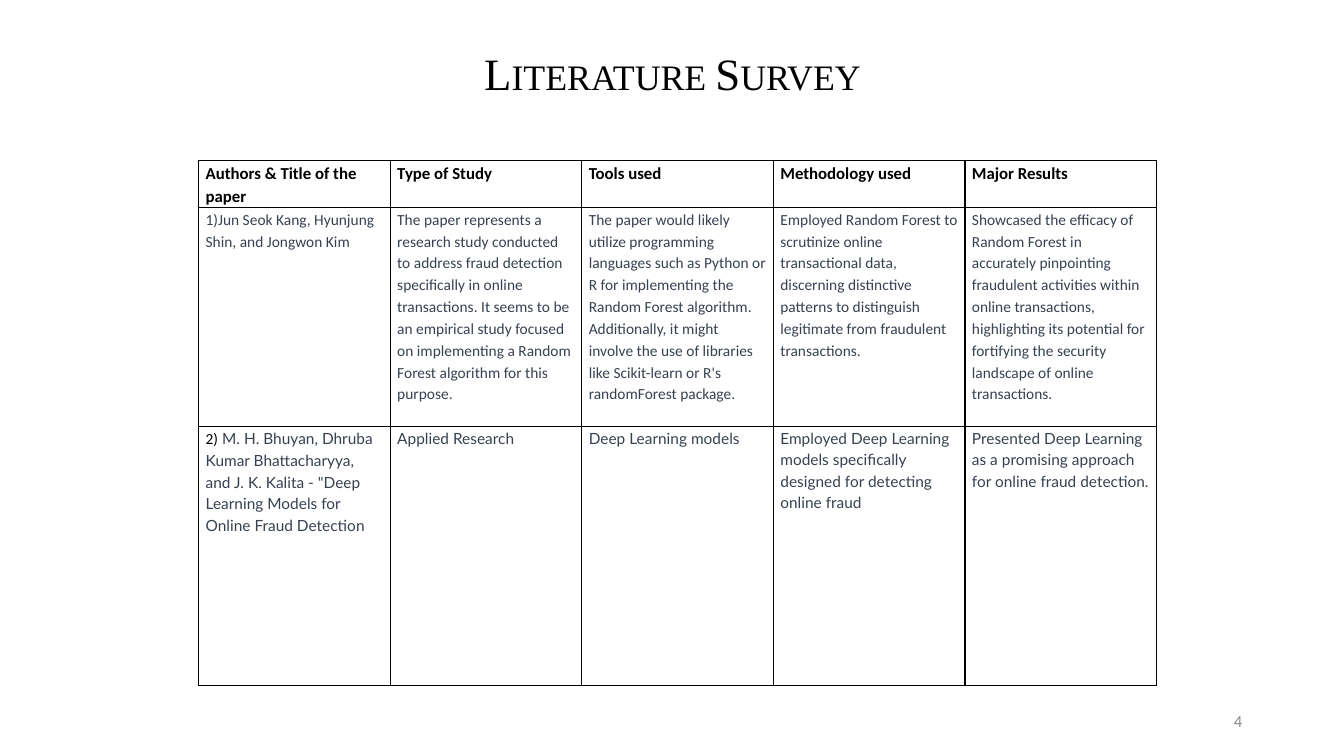
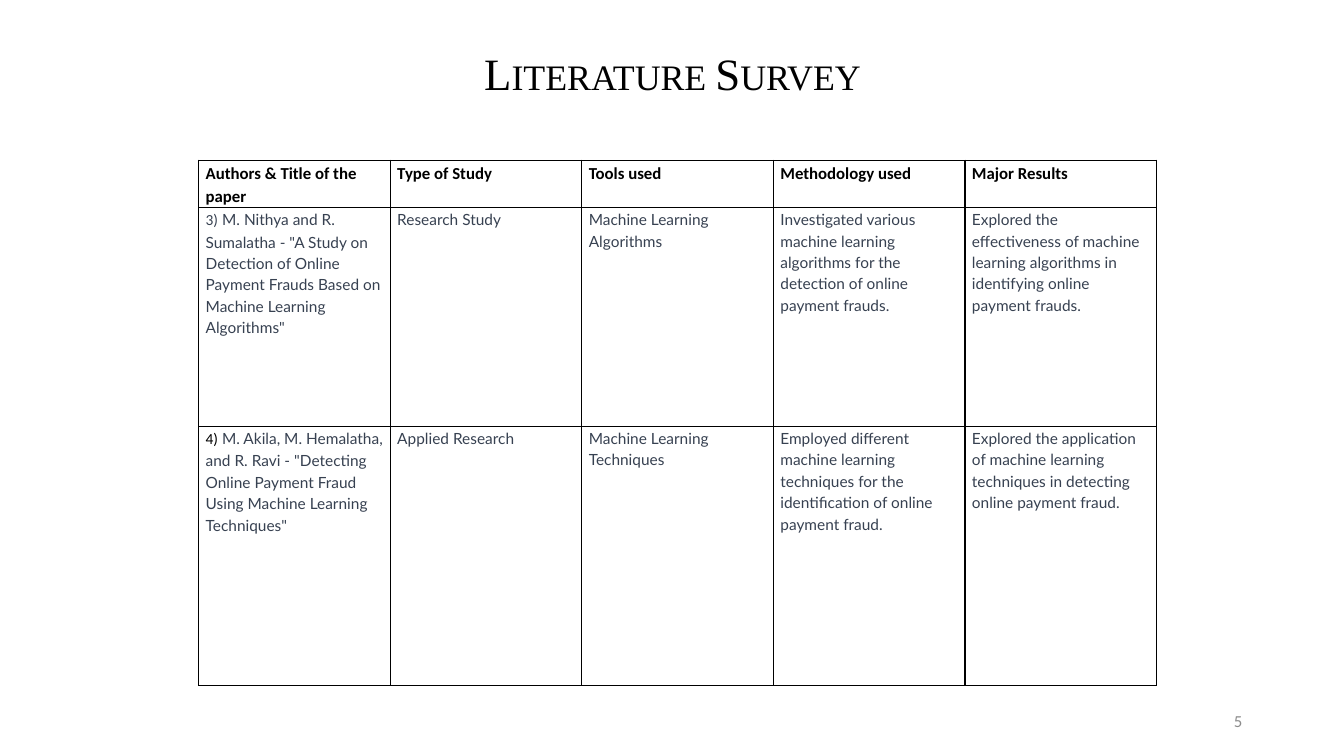
from dataclasses import dataclass

from lxml.etree import SubElement
from pptx import Presentation
from pptx.dml.color import RGBColor
from pptx.enum.text import MSO_ANCHOR, MSO_AUTO_SIZE, PP_ALIGN
from pptx.oxml.ns import qn
from pptx.util import Inches, Pt


@dataclass(frozen=True)
class Theme:
    black: RGBColor = RGBColor(0x00, 0x00, 0x00)
    slate: RGBColor = RGBColor(0x37, 0x41, 0x51)
    gray: RGBColor = RGBColor(0x8C, 0x8C, 0x8C)
    white: RGBColor = RGBColor(0xFF, 0xFF, 0xFF)
    title_size: Pt = Pt(32)
    header_size: Pt = Pt(12)
    body_size: Pt = Pt(11)
    border_width: Pt = Pt(1)
    line_spacing: float = 1.15


theme = Theme()

TITLE = {"name": "Times New Roman", "size": theme.title_size, "color": theme.black}
NUMBER = {"name": "Calibri", "size": theme.header_size, "color": theme.gray}
HEADER = {"name": "Calibri", "size": theme.header_size, "bold": True, "color": theme.black}
CALIBRI = {"name": "Calibri", "size": theme.body_size, "bold": False, "color": theme.slate}
MARKER = {**CALIBRI, "color": theme.black}
LATO = {**CALIBRI, "name": "Lato"}

TITLE_FRAME = {
    "auto_size": MSO_AUTO_SIZE.NONE,
    "vertical_anchor": MSO_ANCHOR.TOP,
    "margin_top": Inches(0.11),
    "margin_right": Inches(0.2),
}
NUMBER_FRAME = {"word_wrap": True, "vertical_anchor": MSO_ANCHOR.MIDDLE}
CELL_FORMAT = {
    "margin_left": Inches(0.07),
    "margin_right": Inches(0.07),
    "margin_top": 0,
    "margin_bottom": 0,
    "vertical_anchor": MSO_ANCHOR.TOP,
}

HEADINGS = [
    "Authors & Title of the paper",
    "Type of Study",
    "Tools used",
    "Methodology used",
    "Major Results",
]
ROW_HEIGHTS = [0.47, 2.17, 2.57]
COLUMN_WIDTH = 1.9

SURVEYS = {
    4: [
        ("1)", CALIBRI, CALIBRI, [
            "Jun Seok Kang, Hyunjung Shin, and Jongwon Kim",
            "The paper represents a research study conducted to address fraud detection "
            "specifically in online transactions. It seems to be an empirical study focused "
            "on implementing a Random Forest algorithm for this purpose.",
            "The paper would likely utilize programming languages such as Python or R for "
            "implementing the Random Forest algorithm. Additionally, it might involve the "
            "use of libraries like Scikit-learn or R's randomForest package.",
            "Employed Random Forest to scrutinize online transactional data, discerning "
            "distinctive patterns to distinguish legitimate from fraudulent transactions.",
            "Showcased the efficacy of Random Forest in accurately pinpointing fraudulent "
            "activities within online transactions, highlighting its potential for "
            "fortifying the security landscape of online transactions.",
        ]),
        ("2)", MARKER, LATO, [
            " M. H. Bhuyan, Dhruba Kumar Bhattacharyya, and J. K. Kalita - "
            '"Deep Learning Models for Online Fraud Detection',
            "Applied Research",
            "Deep Learning models",
            "Employed Deep Learning models specifically designed for detecting online fraud",
            "Presented Deep Learning as a promising approach for online fraud detection.",
        ]),
    ],
    5: [
        ("3)", CALIBRI, LATO, [
            ' M. Nithya and R. Sumalatha - "A Study on Detection of Online Payment '
            'Frauds Based on Machine Learning Algorithms"',
            "Research Study",
            "Machine Learning Algorithms",
            "Investigated various machine learning algorithms for the detection of online "
            "payment frauds.",
            "Explored the effectiveness of machine learning algorithms in identifying online "
            "payment frauds.",
        ]),
        ("4)", MARKER, LATO, [
            ' M. Akila, M. Hemalatha, and R. Ravi - "Detecting Online Payment Fraud '
            'Using Machine Learning Techniques"',
            "Applied Research",
            "Machine Learning Techniques",
            "Employed different machine learning techniques for the identification of online "
            "payment fraud.",
            "Explored the application of machine learning techniques in detecting online "
            "payment fraud.",
        ]),
    ],
}


def add_run(paragraph, text, style):
    run = paragraph.add_run()
    run.text = text
    for attribute, value in style.items():
        if attribute == "color":
            run.font.color.rgb = value
        else:
            setattr(run.font, attribute, value)
    return run


def format_cell(cell):
    for attribute, value in CELL_FORMAT.items():
        setattr(cell, attribute, value)
    properties = cell._tc.get_or_add_tcPr()
    for side in ("a:lnL", "a:lnR", "a:lnT", "a:lnB"):
        line = SubElement(properties, qn(side), w=str(theme.border_width))
        fill = SubElement(line, qn("a:solidFill"))
        SubElement(fill, qn("a:srgbClr"), val=str(theme.black))
    cell.fill.solid()
    cell.fill.fore_color.rgb = theme.white


presentation = Presentation()
presentation.slide_width = Inches(13.33)
presentation.slide_height = Inches(7.5)
title_only = presentation.slide_layouts[5]

for page, papers in SURVEYS.items():
    slide = presentation.slides.add_slide(title_only)

    title = slide.shapes.title
    title.left, title.top = Inches(2.22), Inches(0.34)
    title.width, title.height = Inches(9), Inches(1.25)
    for attribute, value in TITLE_FRAME.items():
        setattr(title.text_frame, attribute, value)
    paragraph = title.text_frame.paragraphs[0]
    paragraph.alignment = PP_ALIGN.CENTER
    run = add_run(paragraph, "Literature Survey", TITLE)
    run.font._element.set("cap", "small")

    table = slide.shapes.add_table(
        len(ROW_HEIGHTS), len(HEADINGS), Inches(1.97), Inches(1.59),
        Inches(COLUMN_WIDTH * len(HEADINGS)), Inches(sum(ROW_HEIGHTS)),
    ).table
    table.first_row = False
    table.horz_banding = False
    for column in table.columns:
        column.width = Inches(COLUMN_WIDTH)
    for row, height in zip(table.rows, ROW_HEIGHTS):
        row.height = Inches(height)

    table_rows = [("", HEADER, HEADER, HEADINGS), *papers]
    for row, (marker, marker_style, style, texts) in zip(table.rows, table_rows):
        for position, (cell, text) in enumerate(zip(row.cells, texts)):
            format_cell(cell)
            paragraph = cell.text_frame.paragraphs[0]
            paragraph.line_spacing = theme.line_spacing
            if marker and position == 0:
                add_run(paragraph, marker, marker_style)
            add_run(paragraph, text, style)

    number = slide.shapes.add_textbox(Inches(9.42), Inches(6.95), Inches(3), Inches(0.4))
    for attribute, value in NUMBER_FRAME.items():
        setattr(number.text_frame, attribute, value)
    paragraph = number.text_frame.paragraphs[0]
    paragraph.alignment = PP_ALIGN.RIGHT
    add_run(paragraph, str(page), NUMBER)

presentation.save("out.pptx")
